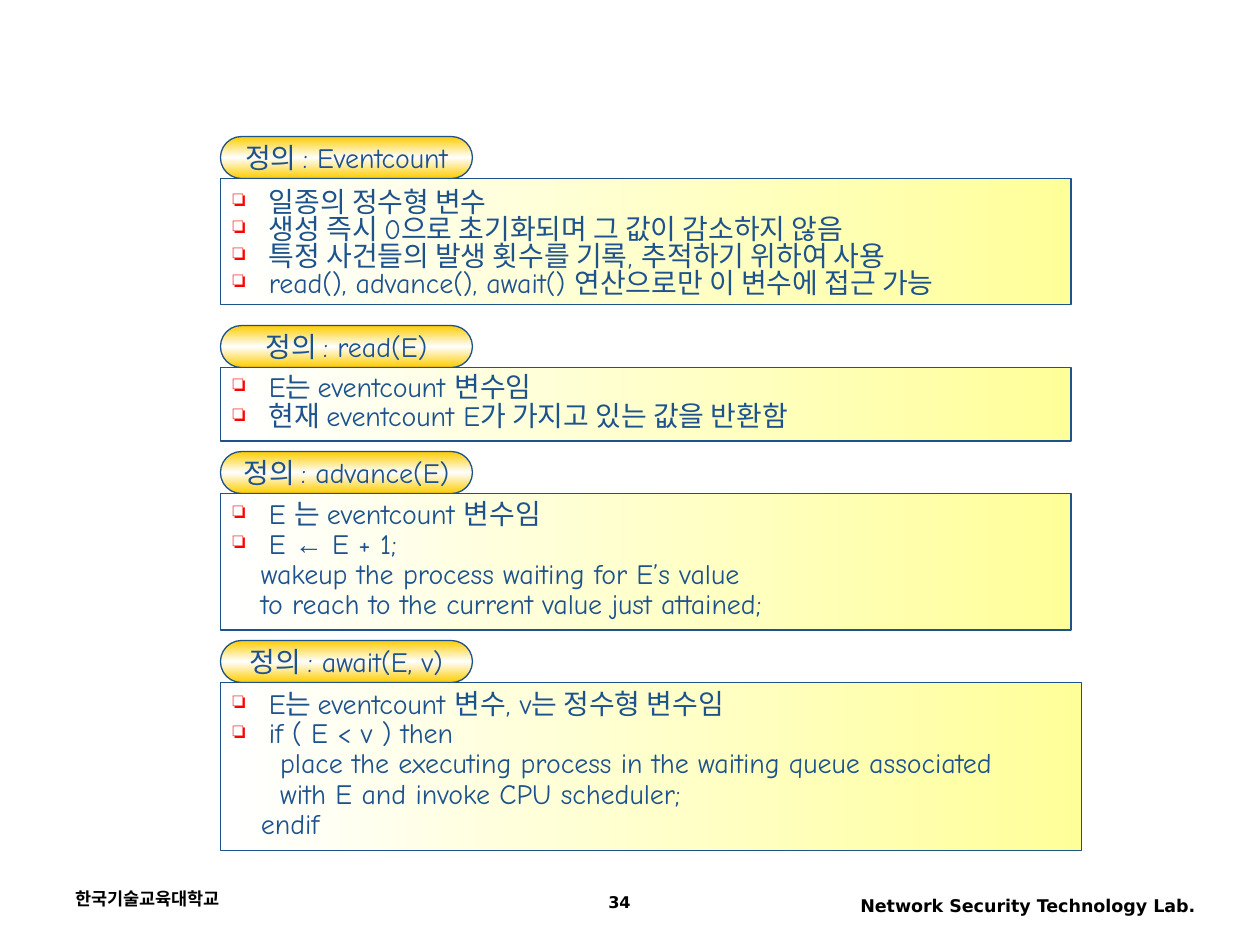
"""Build the slide of eventcount definitions."""
from copy import deepcopy

from lxml import etree
from pptx import Presentation
from pptx.dml import color
from pptx.enum import shapes, text
from pptx.oxml import ns
from pptx.util import Pt

COLORS = {"ink": "1D528D", "gold": "FFCC00", "white": "FFFFFF",
          "yellow": "FFFF99", "bullet": "FF0000", "footer": "000000"}
BODY_FONT, ARROW_FONT, FOOTER_FONT = "Comic Neue", "Arial", "DejaVu Sans"
LEFT, PILL_WIDTH, PILL_HEIGHT = 126, 144, 24
BULLET_INDENT = 20.5

# Each definition: title, top, body width, body height, line spacings
# (first line, later lines), then lines as (text, indent).
DEFINITIONS = [
    ("정의 : Eventcount", 78, 486, 72, (1.0, 0.8), [
        ("일종의 정수형 변수", BULLET_INDENT),
        ("생성 즉시 0으로 초기화되며 그 값이 감소하지 않음", BULLET_INDENT),
        ("특정 사건들의 발생 횟수를 기록, 추적하기 위하여 사용", BULLET_INDENT),
        ("read(), advance(), await() 연산으로만 이 변수에 접근 가능", BULLET_INDENT)]),
    ("정의 : read(E)", 186, 486, 42, (0.8, 0.9), [
        ("E는 eventcount 변수임", BULLET_INDENT),
        ("현재 eventcount E가 가지고 있는 값을 반환함", BULLET_INDENT)]),
    ("정의 : advance(E)", 258, 486, 78, (0.8, 0.9), [
        ("E 는 eventcount 변수임", BULLET_INDENT),
        ("E ← E + 1;", BULLET_INDENT),
        ("wakeup the process waiting for E’s value", 16),
        ("to reach to the current value just attained;", 16)]),
    ("정의 : await(E, v)", 366, 492, 96, (0.8, 0.9), [
        ("E는 eventcount 변수, v는 정수형 변수임", BULLET_INDENT),
        ("if ( E < v ) then", BULLET_INDENT),
        ("place the executing process in the waiting queue associated", 27),
        ("with E and invoke CPU scheduler;", 27),
        ("endif", 16)]),
]
FOOTERS = [
    ("한국기술교육대학교", (36, 504, 168, 24), 10, 1.0, text.PP_ALIGN.LEFT),
    ("Network Security Technology Lab.", (462, 507.6, 228, 23), 10, 1.0,
     text.PP_ALIGN.RIGHT),
    ("34", (270, 507.6, 168, 20), 9.2, 0.9, text.PP_ALIGN.CENTER),
]


def rgb(name):
    return color.RGBColor.from_string(COLORS[name])


def style(font, name, size, shade, bold=False):
    font.name, font.size, font.bold = name, Pt(size), bold
    font.color.rgb = rgb(shade)


def add_panel(page, kind, place, names, angle):
    panel = page.shapes.add_shape(kind, *map(Pt, place))
    panel.shadow.inherit = False
    panel.line.color.rgb = rgb("ink")
    panel.line.width = Pt(0.75)
    panel.fill.gradient()
    panel.fill.gradient_angle = angle
    stops = panel.fill._fill._gradFill.find(ns.qn("a:gsLst"))
    while len(stops) < len(names):
        stops.append(deepcopy(stops[-1]))
    for index, (stop, name) in enumerate(zip(panel.fill.gradient_stops, names)):
        stop.position = index / (len(names) - 1)
        stop.color.rgb = rgb(name)
    panel.text_frame.word_wrap = True
    panel.text_frame.vertical_anchor = text.MSO_ANCHOR.MIDDLE
    return panel


def add_bullet(para):
    props = para._p.get_or_add_pPr()
    tint = etree.SubElement(props, ns.qn("a:buClr"))
    etree.SubElement(tint, ns.qn("a:srgbClr"), val=COLORS["bullet"])
    etree.SubElement(props, ns.qn("a:buSzPct"), val="80000")
    etree.SubElement(props, ns.qn("a:buChar"), char="❏")


def fill_line(para, words, indent, spacing):
    para.alignment = text.PP_ALIGN.LEFT
    para.line_spacing = spacing
    bulleted = indent == BULLET_INDENT
    props = para._p.get_or_add_pPr()
    props.set("marL", str(Pt(indent)))
    props.set("indent", str(-Pt(indent) if bulleted else 0))
    if bulleted:
        add_bullet(para)
    for part in filter(None, words.partition("←")):
        span = para.add_run()
        span.text = part
        style(span.font, ARROW_FONT if part == "←" else BODY_FONT, 16, "ink")


def add_definition(page, title, top, width, height, spacings, lines):
    pill = add_panel(page, shapes.MSO_SHAPE.ROUNDED_RECTANGLE,
                     (LEFT, top, PILL_WIDTH, PILL_HEIGHT),
                     ("gold", "white", "gold"), 90)
    pill.adjustments[0] = 0.5
    para = pill.text_frame.paragraphs[0]
    para.text = title
    para.alignment = text.PP_ALIGN.CENTER
    style(para.runs[0].font, BODY_FONT, 16, "ink")

    body = add_panel(page, shapes.MSO_SHAPE.RECTANGLE,
                     (LEFT, top + PILL_HEIGHT, width, height),
                     ("white", "yellow"), 0)
    frame = body.text_frame
    for index, (words, indent) in enumerate(lines):
        para = frame.add_paragraph() if index else frame.paragraphs[0]
        fill_line(para, words, indent, spacings[min(index, 1)])


def add_footer(page, words, place, size, spacing, alignment):
    box = page.shapes.add_textbox(*map(Pt, place))
    box.text_frame.word_wrap = True
    para = box.text_frame.paragraphs[0]
    para.text = words
    para.alignment = alignment
    para.line_spacing = spacing
    style(para.runs[0].font, FOOTER_FONT, size, "footer", True)


def main():
    deck = Presentation()
    deck.slide_width, deck.slide_height = Pt(720), Pt(540)
    page = deck.slides.add_slide(deck.slide_layouts[6])
    for footer in FOOTERS:
        add_footer(page, *footer)
    for definition in DEFINITIONS:
        add_definition(page, *definition)
    deck.save("out.pptx")


if __name__ == "__main__":
    main()
